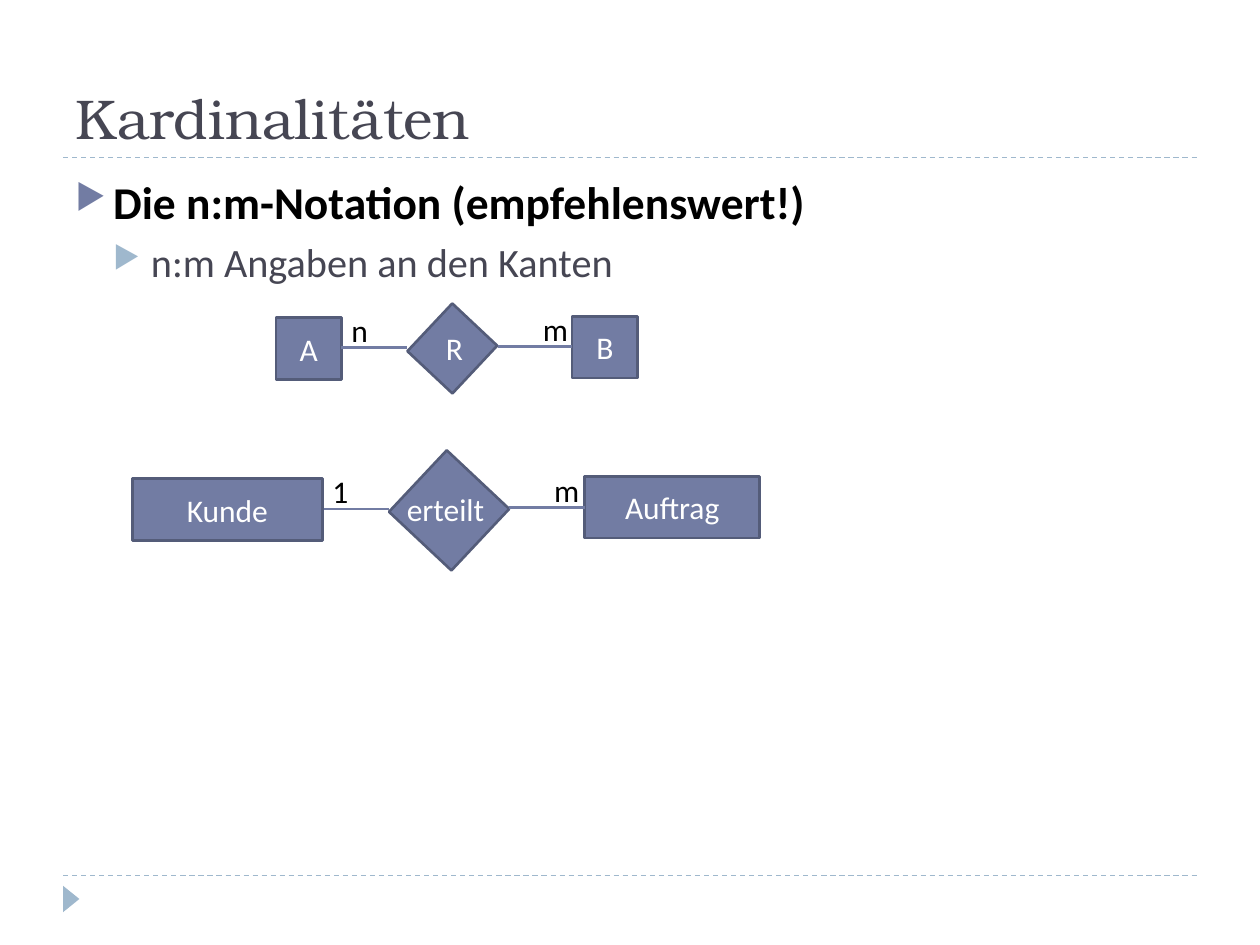
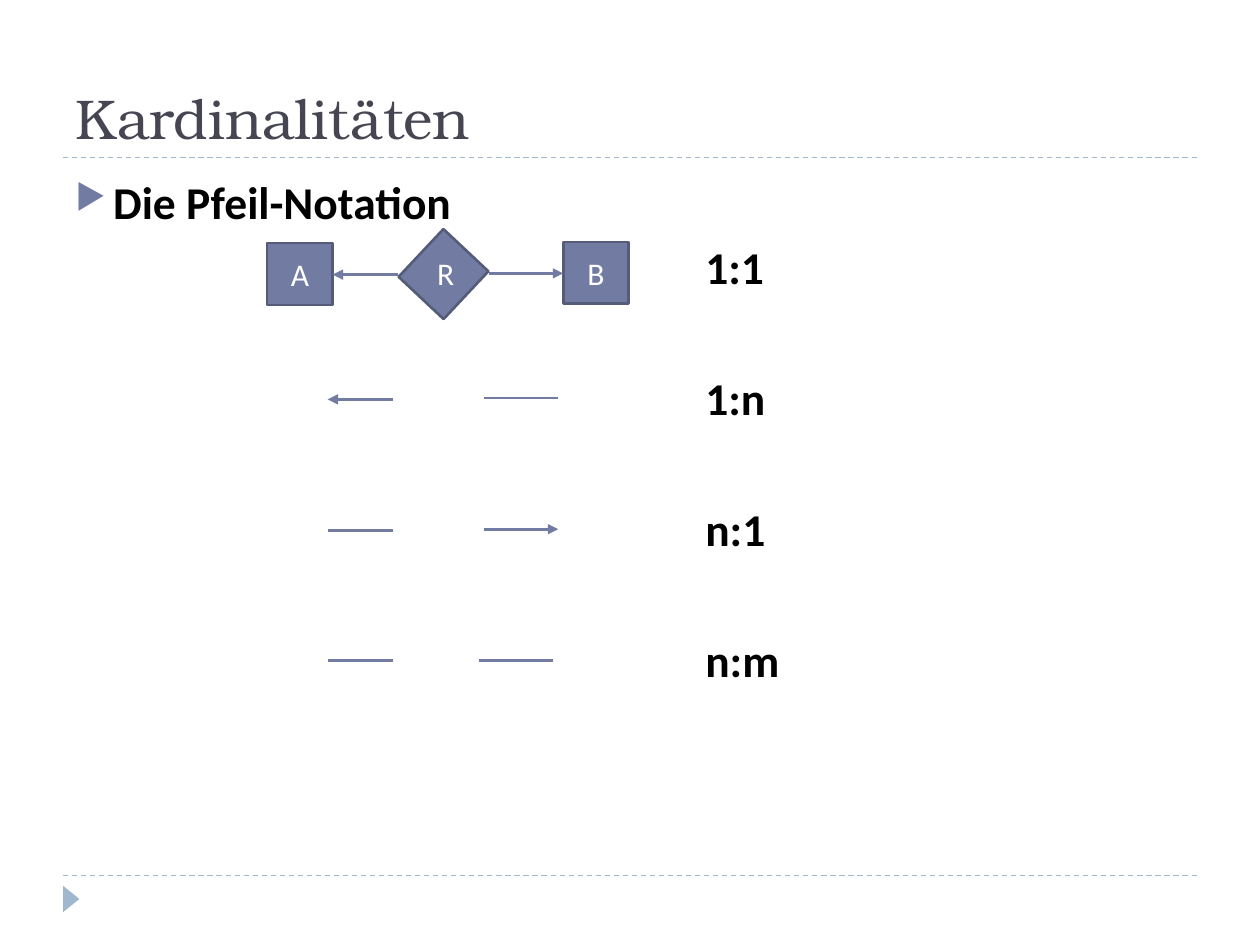
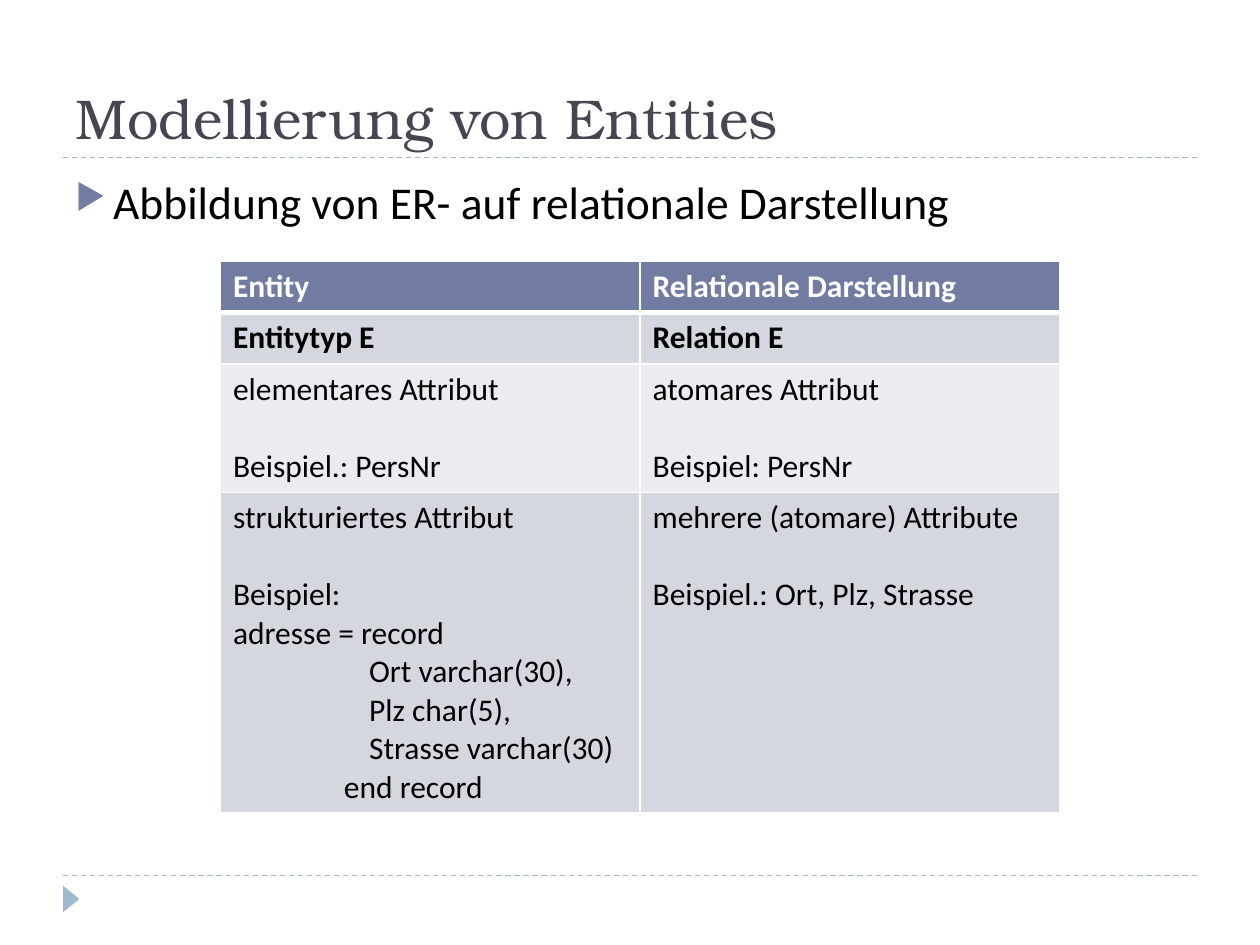
from lxml import etree
from pptx import Presentation
from pptx import util as u
from pptx.dml.color import RGBColor
from pptx.enum import dml, shapes, text
from pptx.oxml.ns import qn

INDIGO = RGBColor(0x72, 0x7C, 0xA3)
INDIGO_DARK = RGBColor(0x54, 0x5C, 0x79)
SKY = RGBColor(0x9F, 0xB8, 0xCD)
SLATE = RGBColor(0x46, 0x46, 0x53)
BAND_DARK = RGBColor(0xD5, 0xD7, 0xE0)
BAND_LIGHT = RGBColor(0xEB, 0xEC, 0xF0)
BLACK = RGBColor(0, 0, 0)
WHITE = RGBColor(0xFF, 0xFF, 0xFF)

TITLE_FONT = "TeX Gyre Bonum"
BODY_FONT = "Calibri"
LABEL_SIZE = 18
BLANK_LINE = 22  # points taken by one line of label text


def inches(*values):
    return [u.Inches(v) for v in values]


def add_xml(parent, tag, **attrs):
    return etree.SubElement(parent, qn(tag), attrs)


def style(p, size, color, bold=False, name=BODY_FONT):
    p.font.name, p.font.size, p.font.bold = name, u.Pt(size), bold
    p.font.color.rgb = color


def indent(p, left, first=0.0):
    pPr = p._p.get_or_add_pPr()
    pPr.set("marL", str(u.Inches(left)))
    pPr.set("indent", str(u.Inches(first)))
    return pPr


class Deck:
    """Holds the presentation, its look and the slide being built."""

    def __init__(self):
        self.prs = Presentation()
        self.prs.slide_width, self.prs.slide_height = inches(10, 7.5)

    def slide(self, title):
        self.s = self.prs.slides.add_slide(self.prs.slide_layouts[5])
        for y in (6.95, 1.25):
            self.line(0.5, y, 9.5, y, SKY, 0.75, dashed=True)
        marker = self.shape(shapes.MSO_SHAPE.ISOSCELES_TRIANGLE,
                            0.46, 7.07, 0.21, 0.13, SKY)
        marker.rotation = 90
        sp = self.s.shapes.title
        sp.left, sp.top, sp.width, sp.height = inches(0.5, 0.17, 9, 1.08)
        tf = sp.text_frame
        tf.text = title
        tf.auto_size = text.MSO_AUTO_SIZE.NONE
        tf.vertical_anchor = text.MSO_ANCHOR.BOTTOM
        p = tf.paragraphs[0]
        p.alignment = text.PP_ALIGN.LEFT
        style(p, 32, SLATE, name=TITLE_FONT)

    def line(self, x1, y1, x2, y2, color=INDIGO, width=1.5, dashed=False, arrow=None):
        """Draw a line; arrow is 'head' (at the start) or 'tail' (at the end)."""
        cn = self.s.shapes.add_connector(shapes.MSO_CONNECTOR.STRAIGHT,
                                         *inches(x1, y1, x2, y2))
        cn.line.color.rgb, cn.line.width = color, u.Pt(width)
        if dashed:
            cn.line.dash_style = dml.MSO_LINE.DASH
        spPr = cn.element.spPr
        if arrow:
            add_xml(spPr.find(qn("a:ln")), f"a:{arrow}End", type="triangle")
        add_xml(spPr, "a:effectLst")

    def shape(self, kind, x, y, w, h, fill, outline=None):
        sp = self.s.shapes.add_shape(kind, *inches(x, y, w, h))
        sp.shadow.inherit = False
        sp.fill.solid()
        sp.fill.fore_color.rgb = fill
        if outline is None:
            sp.line.fill.background()
        else:
            sp.line.color.rgb, sp.line.width = outline, u.Pt(1.5)
        return sp

    def entity(self, x, y, w, h, label="", angle=0):
        sp = self.shape(shapes.MSO_SHAPE.RECTANGLE, x, y, w, h, INDIGO, INDIGO_DARK)
        sp.rotation = angle
        if label:
            tf = sp.text_frame
            tf.text = label
            tf.vertical_anchor = text.MSO_ANCHOR.MIDDLE
            p = tf.paragraphs[0]
            p.alignment = text.PP_ALIGN.CENTER
            style(p, LABEL_SIZE, WHITE)

    def diamond(self, x, y, w, h):
        self.entity(x, y, w, h, angle=313.2)

    def text_box(self, x, y, w, h):
        tf = self.s.shapes.add_textbox(*inches(x, y, w, h)).text_frame
        tf.word_wrap = True
        return tf

    def label(self, x, y, w, caption, color=BLACK):
        tf = self.text_box(x, y, w, 0.4)
        tf.auto_size = text.MSO_AUTO_SIZE.SHAPE_TO_FIT_TEXT
        tf.margin_right = 0
        tf.text = caption
        style(tf.paragraphs[0], LABEL_SIZE, color)

    def abr_relation(self, x, y):
        """Entities A and B around relation R, with A's corner at x, y."""
        self.entity(x, y, 0.52, 0.49, "A")
        self.diamond(x + 1.14, y, 0.52, 0.49)
        self.label(x + 1.25, y + 0.04, 0.18, "R", WHITE)
        self.entity(x + 2.35, y - 0.01, 0.52, 0.49, "B")

    def body(self, heading, bold=True):
        self.tf = self.text_box(0.5, 1.33, 9, 5.4)
        self.bullet(self.tf.paragraphs[0], heading, 0, 26, BLACK, INDIGO, bold)

    def sub_bullet(self, caption):
        self.bullet(self.tf.add_paragraph(), caption, 1, 23, SLATE, SKY)

    def bullet(self, p, caption, level, size, color, mark, bold=False):
        p.text, p.level = caption, level
        pPr = indent(p, 0.3 * (level + 1), -0.3)
        add_xml(add_xml(pPr, "a:buClr"), "a:srgbClr", val=str(mark))
        add_xml(pPr, "a:buSzPct", val="76000")
        add_xml(pPr, "a:buChar", char="▶")
        p.space_before = u.Pt(6 - level)
        style(p, size, color, bold)

    def ratio(self, caption, gap):
        p = self.tf.add_paragraph()
        p.text = caption
        indent(p, 5)
        p.space_before = u.Pt(gap)
        style(p, 26, BLACK, True)

    def table(self, x, y, col_width, heights, rows):
        """Each cell is a list of (text, indent, points before)."""
        frame = self.s.shapes.add_table(len(rows), len(rows[0]), *inches(
            x, y, col_width * len(rows[0]), sum(heights)))
        tbl = frame.table
        tbl.horz_banding = False
        for col in tbl.columns:
            col.width = u.Inches(col_width)
        for i, row in enumerate(rows):
            tbl.rows[i].height = u.Inches(heights[i])
            fill = INDIGO if i == 0 else BAND_DARK if i % 2 else BAND_LIGHT
            for j, lines in enumerate(row):
                cell = tbl.cell(i, j)
                self.borders(cell, top=3 if i == 1 else 1, bottom=3 if i == 0 else 1)
                cell.fill.solid()
                cell.fill.fore_color.rgb = fill
                tf = cell.text_frame
                for k, (caption, left, before) in enumerate(lines):
                    p = tf.add_paragraph() if k else tf.paragraphs[0]
                    p.text = caption
                    indent(p, left)
                    p.space_before = u.Pt(before)
                    style(p, LABEL_SIZE, BLACK if i else WHITE, bold=i < 2)

    def borders(self, cell, top, bottom):
        tcPr = cell._tc.get_or_add_tcPr()
        for side, width in zip("LRTB", (1, 1, top, bottom)):
            ln = add_xml(tcPr, f"a:ln{side}", w=str(u.Pt(width)))
            add_xml(add_xml(ln, "a:solidFill"), "a:srgbClr", val=str(WHITE))


def nm_notation(d):
    d.slide("Kardinalitäten")
    d.body("Die n:m-Notation (empfehlenswert!)")
    d.sub_bullet("n:m Angaben an den Kanten")

    d.abr_relation(2.19, 2.52)
    d.line(2.71, 2.76, 3.23, 2.76)
    d.line(3.95, 2.75, 4.54, 2.75)
    d.label(2.69, 2.42, 0.19, "n")
    d.label(4.21, 2.41, 0.19, "m")

    d.entity(1.05, 3.8, 1.51, 0.49, "Kunde")
    d.diamond(3.23, 3.71, 0.67, 0.68)
    d.label(3.13, 3.84, 0.88, "erteilt", WHITE)
    d.entity(4.64, 3.78, 1.39, 0.49, "Auftrag")
    d.line(2.57, 4.04, 3.09, 4.04)
    d.line(4.04, 4.03, 4.64, 4.03)
    d.label(2.54, 3.7, 0.19, "1")
    d.label(4.3, 3.69, 0.19, "m")


def arrow_notation(d):
    d.slide("Kardinalitäten")
    d.body("Die Pfeil-Notation")
    d.abr_relation(2.12, 1.93)
    edges = [  # ratio, left edge x, right edge x, y of the left edge, y of the right edge
        ("1:1", 2.64, 3.88, 2.18, 2.17),
        ("1:n", 2.6, 3.84, 3.17, 3.16),
        ("n:1", 2.6, 3.84, 4.21, 4.2),
        ("n:m", 2.6, 3.8, 5.24, 5.24),
    ]
    for i, (ratio, left, right, y_left, y_right) in enumerate(edges):
        d.ratio(ratio, 43.7 if i else 6)
        a, b = ratio.split(":")
        d.line(left, y_left, left + 0.52, y_left, arrow="head" if a == "1" else None)
        d.line(right, y_right, right + 0.59, y_right, arrow="tail" if b == "1" else None)


def entity_mapping(d):
    d.slide("Modellierung von Entities")
    d.body("Abbildung von ER- auf relationale Darstellung", bold=False)

    def cell(first, *example):
        """A first line, then an example set off by a blank line."""
        return [(first, 0, 0)] + [(t, 0, 0 if i else BLANK_LINE)
                                  for i, t in enumerate(example)]

    fields = ["Ort varchar(30),", "Plz char(5),", "Strasse varchar(30)"]
    record = cell("strukturiertes Attribut", "Beispiel:", "adresse = record")
    record += [(f, 1.08, 0) for f in fields] + [("end record", 0.88, 0)]
    d.table(1.75, 2.07, 3.33, [0.41, 0.41, 1.02, 2.54], [
        [cell("Entity"), cell("Relationale Darstellung")],
        [cell("Entitytyp E"), cell("Relation E")],
        [cell("elementares Attribut", "Beispiel.: PersNr"),
         cell("atomares Attribut", "Beispiel: PersNr")],
        [record, cell("mehrere (atomare) Attribute", "Beispiel.: Ort, Plz, Strasse")],
    ])


def main():
    d = Deck()
    nm_notation(d)
    arrow_notation(d)
    entity_mapping(d)
    d.prs.save("out.pptx")


if __name__ == "__main__":
    main()
